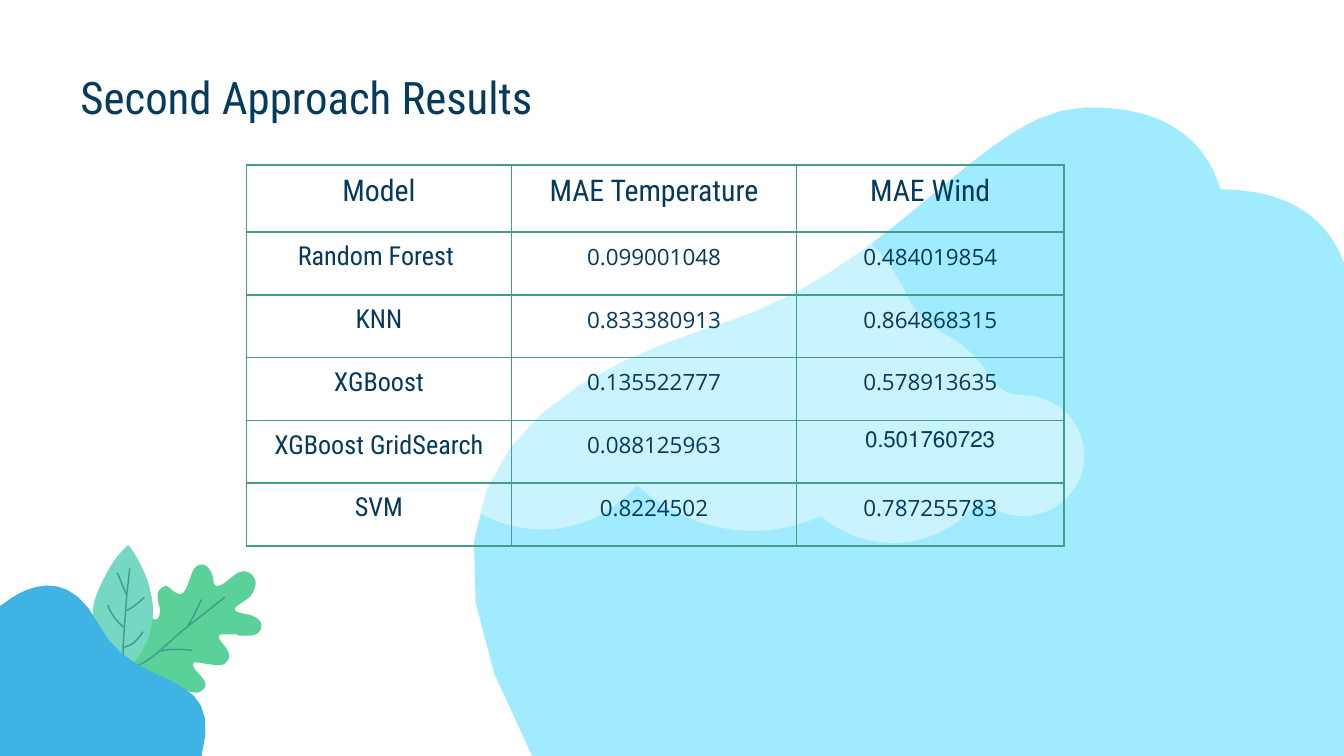
from lxml.etree import SubElement
from pptx import Presentation
from pptx.dml.color import RGBColor
from pptx.enum.text import MSO_ANCHOR, PP_ALIGN
from pptx.oxml.ns import qn
from pptx.util import Pt

COLORS = {
    "title": "053B5C", "text": "043A5B", "border": "439D8A", "vein": "439D8A",
    "oak": "5AD199", "leaf": "74D8C2", "hill": "3FB3E4",
    "cloud": "A0EBFF", "white": "FFFFFF",
}
CURVE_STEPS = 12

presentation = Presentation()
presentation.slide_width, presentation.slide_height = Pt(720), Pt(405)
slide = presentation.slides.add_slide(presentation.slide_layouts[6])


def draw_outline(start, segments, color, line_width=None):
    """Draw lines (x, y) and Bezier curves (6 numbers); a line width leaves the path open."""
    points = [start]
    for segment in segments:
        if len(segment) == 2:
            points.append(segment)
            continue
        x0, y0 = points[-1]
        x1, y1, x2, y2, x3, y3 = segment
        for step in range(1, CURVE_STEPS + 1):
            t = step / CURVE_STEPS
            a, b, c, d = (1 - t) ** 3, 3 * t * (1 - t) ** 2, 3 * t * t * (1 - t), t ** 3
            points.append((a * x0 + b * x1 + c * x2 + d * x3,
                           a * y0 + b * y1 + c * y2 + d * y3))
    points = [(Pt(x), Pt(y)) for x, y in points]
    builder = slide.shapes.build_freeform(*points[0])
    builder.add_line_segments(points[1:], close=line_width is None)
    shape = builder.convert_to_shape()
    shape.shadow.inherit = False
    if line_width is None:
        shape.fill.solid()
        shape.fill.fore_color.rgb = RGBColor.from_string(COLORS[color])
        shape.line.fill.background()
    else:
        shape.fill.background()
        shape.line.color.rgb = RGBColor.from_string(COLORS[color])
        shape.line.width = Pt(line_width)
    return shape


def format_run(run, size, font, color):
    run.font.size = Pt(size)
    run.font.name = font
    run.font.color.rgb = RGBColor.from_string(COLORS[color])


# Oak leaf
draw_outline((108.7, 302.4), [
    (104.4, 302.4, 103, 306, 102.2, 308.9), (100.8, 312.5, 99.4, 318.2, 96.5, 318.2),
    (95, 318.2, 94.3, 317.5, 92.9, 316.8), (91.4, 315.4, 90, 313.9, 88.6, 313.9),
    (82.1, 316.1, 85, 322.6, 85.7, 326.2), (85.7, 328.3, 85.7, 331.9, 82.8, 331.9),
    (77.8, 329, 77, 324, 72.7, 323.3), (69.1, 323.3, 68.4, 326.2, 68.4, 328.3),
    (68.4, 331.9, 70.6, 335.5, 72, 339.1), (72.7, 342.7, 72.7, 347, 72, 350.6),
    (72, 352.8, 69.8, 355.7, 69.8, 357.8), (70.6, 360.7, 76.3, 360.7, 79.2, 361.4),
    (82.1, 362.2, 85.7, 362.9, 88.6, 364.3), (92.9, 365.8, 98.6, 370.8, 103.7, 370.8),
    (105.8, 371.5, 107.3, 370.8, 108.7, 369.4), (110.9, 367.9, 110.2, 365, 108.7, 363.6),
    (107.3, 361.4, 104.4, 359.3, 103.7, 357.1), (103, 355, 104.4, 354.2, 105.8, 355),
    (108, 355, 110.2, 355.7, 110.9, 355.7), (112.3, 355.7, 114.5, 356.4, 115.9, 356.4),
    (118.1, 356.4, 120.2, 356.4, 121.7, 354.2), (124.6, 350.6, 121, 347, 118.8, 344.2),
    (115.9, 340.6, 117.4, 339.8, 119.5, 339.8), (126.7, 339.8),
    (127.4, 340.6, 128.9, 340.6, 131, 340.6), (134.6, 340.6, 138.2, 340.6, 139.7, 337),
    (141.8, 331.9, 134.6, 329, 131, 329), (129.6, 328.3, 126.7, 328.3, 126, 326.9),
    (125.3, 324.7, 129.6, 323.3, 131, 321.8), (133.9, 320.4, 136.1, 317.5, 136.8, 313.9),
    (137.5, 311, 136.1, 308.2, 133.2, 306.7), (131, 306),
    (125.3, 306, 121.7, 313.2, 116.6, 313.9), (113.8, 313.9, 114.5, 310.3, 113.8, 308.2),
    (113, 306, 111.6, 303.1, 108.7, 302.4),
], "oak")
oak_veins = [
    ((120.6, 319.9), [(100.6, 335.7), (92, 342, 84, 352, 74, 356.6),
                      (66, 360, 57, 361, 49.5, 361.8)]),
    ((86.2, 348.8), [(92, 347.4, 97, 347.9, 103, 348.4)]),
    ((108, 321.2), [(105.5, 326, 103.5, 331.5, 100.8, 334.8)]),
]
for start, segments in oak_veins:
    draw_outline(start, segments, "vein", 0.8)

# Pointed leaf
draw_outline((68.4, 292.3), [
    (62.6, 297.4, 59, 303.1, 56.2, 308.9), (53.3, 314.6, 50.4, 320.4, 49.7, 326.9),
    (49.7, 333.4, 51.8, 339.1, 54, 344.9), (56.9, 349.9, 59.8, 355.7, 65.5, 358),
    (66.2, 358.6), (76.3, 353.5, 81.4, 339.8, 82.1, 329),
    (82.1, 316.1, 77, 303.1, 69.1, 292.3),
], "leaf")
leaf_veins = [
    ((69.5, 304.5), [(67.9, 319), (66.8, 334), (65.9, 347), (66.5, 360.7)]),
    ((62.9, 306.9), [(67.7, 318.6)]),
    ((57.8, 324.2), [(59.4, 328.7, 62.2, 332.6, 66.2, 335.9)]),
    ((57.2, 343.1), [(59, 347.6, 61.6, 351.3, 65.6, 354)]),
    ((76.7, 338.4), [(73.7, 343, 70.8, 346, 66.2, 346.7)]),
    ((77.4, 320), [(74.4, 323, 71.3, 325.4, 67.7, 327.2)]),
]
for start, segments in leaf_veins:
    draw_outline(start, segments, "vein", 0.8)

# Blue hill and large cloud
draw_outline((0, 324.7), [
    (1.4, 324.7, 31.7, 294.5, 52.6, 334.1), (72.7, 373.7, 121, 354.2, 108, 405), (0, 405),
], "hill")
draw_outline((653.8, 101.5), [
    (648, 81.4, 630.7, 56.2, 581, 57.6), (530.6, 59, 488.9, 131, 406.1, 166.3),
    (362.9, 185, 180.7, 215.3, 285.1, 405), (720, 405), (720, 141.1),
    (713.5, 122.4, 696.2, 101.5, 653.8, 101.5),
], "cloud")

# Translucent white cloud
white_cloud = draw_outline((403.2, 104.4), [
    (377.3, 104.4, 353.5, 115.2, 337, 133.2), (326.2, 144.7, 310.3, 151.2, 294.5, 151.2),
    (290.2, 151.2), (253.4, 151.2, 223.2, 180.7, 223.2, 217.4),
    (223.2, 254.2, 253.4, 283.7, 290.2, 283.7), (311, 283.7, 329, 274.3, 341.3, 259.9),
    (357.8, 275, 379.4, 284.4, 403.2, 284.4), (416.2, 284.4, 428.4, 281.5, 439.9, 276.5),
    (450, 285.1, 463.7, 290.9, 478.8, 290.9), (497.5, 290.9, 514.8, 281.5, 525.6, 267.1),
    (531.4, 272.9, 539.3, 276.5, 547.9, 276.5), (565.9, 276.5, 581, 262.1, 581, 244.1),
    (581, 226.1, 565.9, 211.7, 547.9, 211.7), (540.7, 211.7, 533.5, 208.1, 529.9, 201.6),
    (524.2, 191.5, 515.5, 183.6, 505.4, 178.6), (496.8, 174.2, 489.6, 166.3, 485.3, 157),
    (470.9, 126, 439.9, 104.4, 403.2, 104.4),
], "white")
white_color = white_cloud.fill._xPr.find(qn("a:solidFill"))[0]
SubElement(white_color, qn("a:alpha"), val="44000")

# Title
title = slide.shapes.add_textbox(Pt(36), Pt(28.8), Pt(607), Pt(45.4))
frame = title.text_frame
frame.word_wrap = True
frame.vertical_anchor = MSO_ANCHOR.MIDDLE
frame.margin_left = frame.margin_right = frame.margin_top = frame.margin_bottom = Pt(7.2)
frame.text = "Second Approach Results"
format_run(frame.paragraphs[0].runs[0], 24, "Roboto Condensed", "title")

# Results table
results = [
    ("Model", "MAE Temperature", "MAE Wind"),
    ("Random Forest ", "0.099001048", "0.484019854"),
    ("KNN", "0.833380913", "0.864868315"),
    ("XGBoost", "0.135522777", "0.578913635"),
    ("XGBoost GridSearch", "0.088125963", "0.501760723"),
    ("SVM", "0.8224502", "0.787255783"),
]
RIGHT_TO_LEFT_CELL = (4, 2)
table = slide.shapes.add_table(len(results), 3, Pt(132), Pt(88.4), Pt(438), Pt(204)).table
table.first_row = table.horz_banding = False
for column, width in zip(table.columns, (142, 152.8, 143.2)):
    column.width = Pt(width)
for i, values in enumerate(results):
    table.rows[i].height = Pt(36 if i == 0 else 33.6)
    for j, value in enumerate(values):
        cell = table.cell(i, j)
        cell.margin_left = cell.margin_right = cell.margin_top = cell.margin_bottom = Pt(5)
        cell_properties = cell._tc.get_or_add_tcPr()
        for side in ("lnL", "lnR", "lnT", "lnB"):
            border = SubElement(cell_properties, qn(f"a:{side}"), w=str(Pt(1)))
            border_fill = SubElement(border, qn("a:solidFill"))
            SubElement(border_fill, qn("a:srgbClr"), val=COLORS["border"])
        cell.fill.background()
        cell.text_frame.text = value
        paragraph = cell.text_frame.paragraphs[0]
        paragraph.alignment = PP_ALIGN.CENTER
        if (i, j) == RIGHT_TO_LEFT_CELL:
            paragraph._p.get_or_add_pPr().set("rtl", "1")
        is_label = i == 0 or j == 0
        size = 16 if i == 0 else 14 if j == 0 else 12
        format_run(paragraph.runs[0], size, "Roboto Condensed" if is_label else "Open Sans", "text")

presentation.save("out.pptx")
